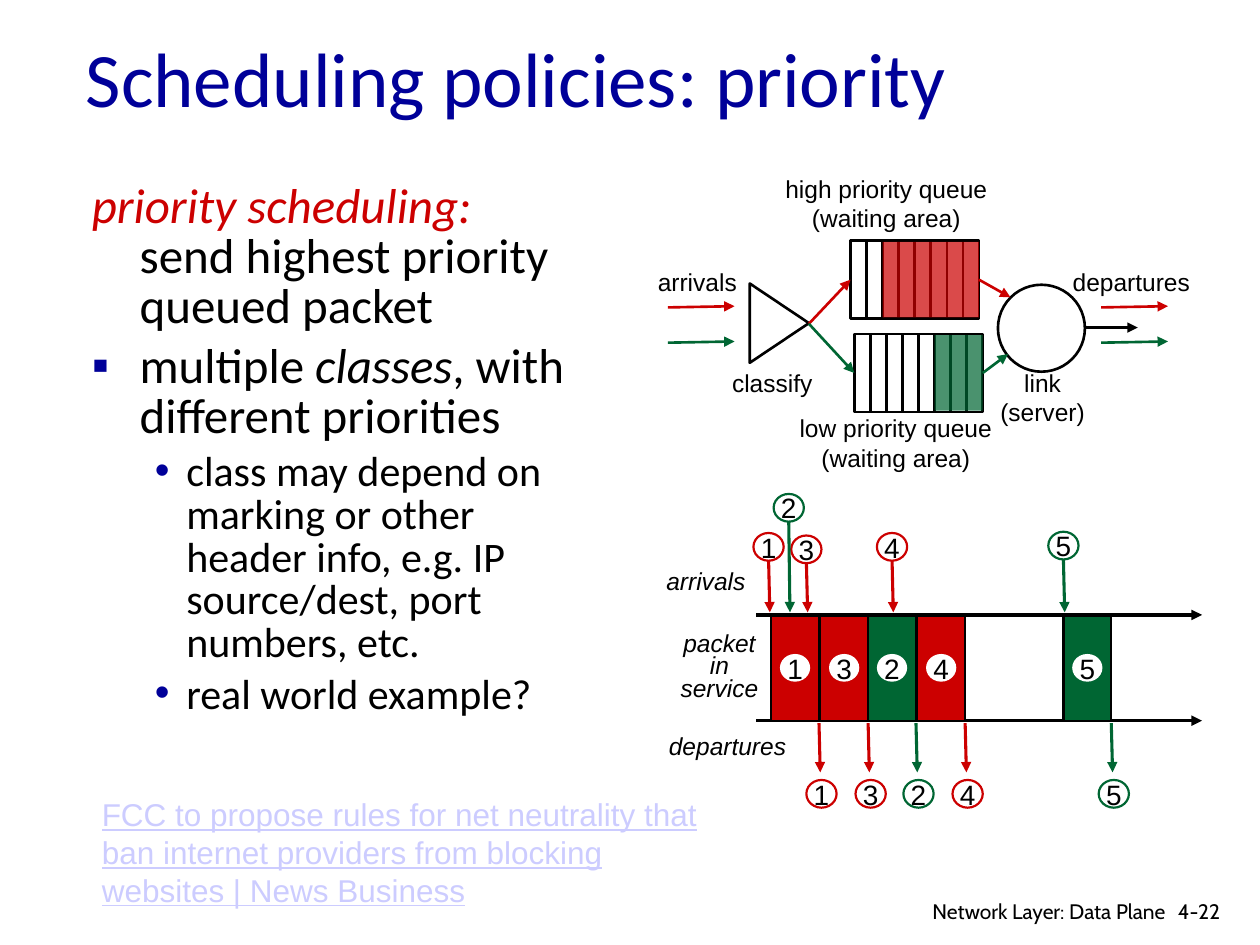
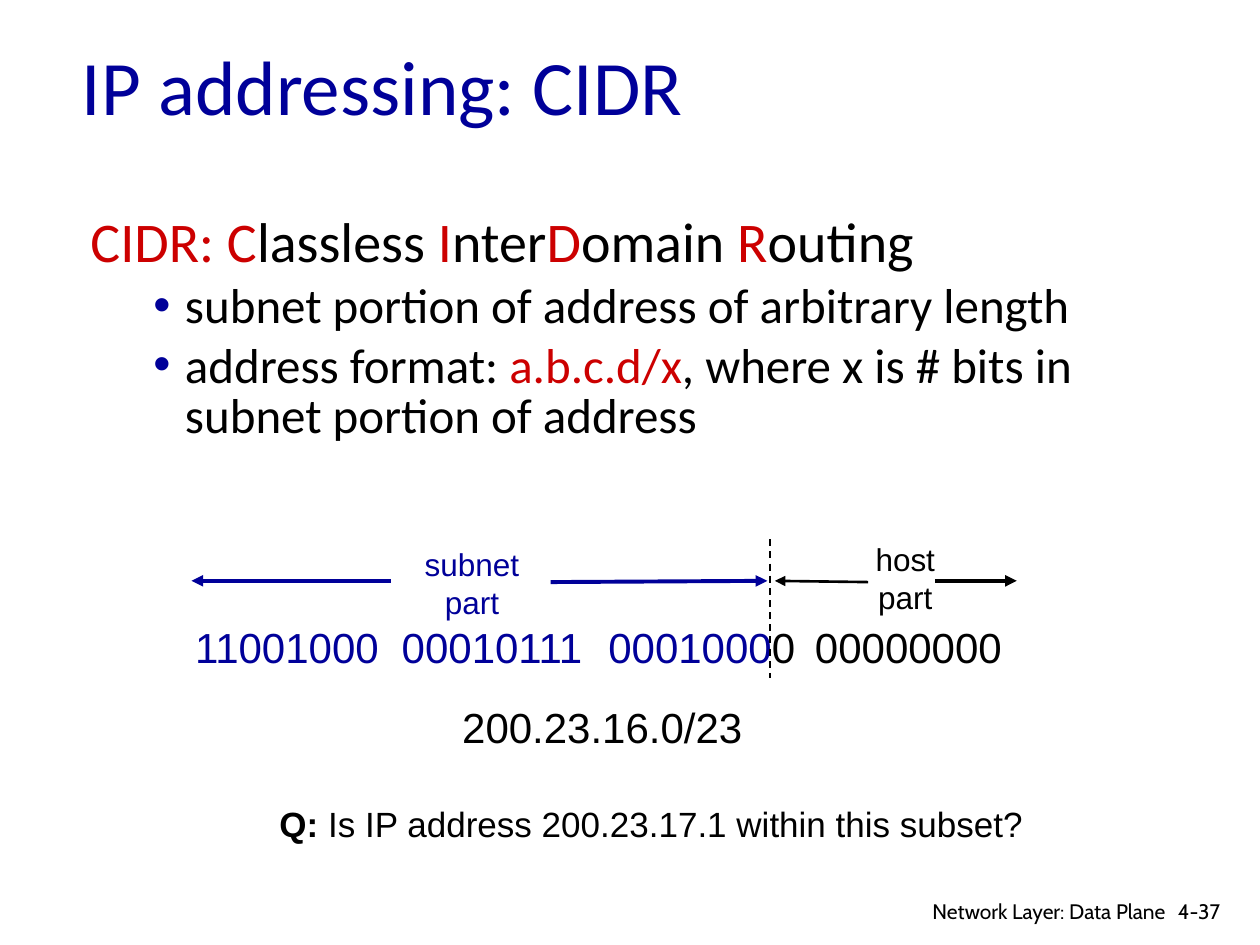
"""Build two lecture slides on priority scheduling and CIDR addressing."""
from lxml import etree
from pptx import Presentation
from pptx.dml.color import RGBColor
from pptx.enum.dml import MSO_LINE
from pptx.enum.shapes import MSO_CONNECTOR, MSO_SHAPE
from pptx.enum.text import MSO_ANCHOR, PP_ALIGN
from pptx.oxml.ns import qn
from pptx.util import Inches, Pt

NAVY = RGBColor(0x00, 0x00, 0x99)
RED = RGBColor(0xCC, 0x00, 0x00)
GREEN = RGBColor(0x00, 0x66, 0x33)
BLACK = RGBColor(0x00, 0x00, 0x00)
WHITE = RGBColor(0xFF, 0xFF, 0xFF)
LINK = RGBColor(0xCC, 0xCC, 0xFF)
LABEL_FONT, BODY_FONT, FOOTER_FONT = "Arial", "Calibri", "Cabin"
CENTER, RIGHT = PP_ALIGN.CENTER, PP_ALIGN.RIGHT


class Deck:
    """Hold the shared style and the slide being drawn."""

    def __init__(self):
        self.prs = Presentation()
        self.prs.slide_width, self.prs.slide_height = Inches(10), Inches(7.5)
        self.s = None

    def slide(self, title, at, number):
        """Start a slide with its title and footer."""
        self.s = self.prs.slides.add_slide(self.prs.slide_layouts[5])
        sp = self.s.shapes.title
        sp.left, sp.top, sp.width, sp.height = map(Inches, at)
        tf = sp.text_frame
        tf.text = title
        tf.word_wrap = True
        tf.vertical_anchor = MSO_ANCHOR.MIDDLE
        p = tf.paragraphs[0]
        p.alignment = PP_ALIGN.LEFT
        self.style(p.runs[0], 44, NAVY, BODY_FONT)
        self.text((9.25, 7.08, 0.61, 0.3), [number], 12, font=FOOTER_FONT, wrap=True)
        self.text((6.97, 7.08, 2.38, 0.26), ["Network Layer: Data Plane"], 12,
                  font=FOOTER_FONT, align=RIGHT, wrap=True)

    def style(self, r, size, color=BLACK, font=LABEL_FONT, **flags):
        """Format one run."""
        r.font.size, r.font.name = Pt(size), font
        r.font.color.rgb = color
        for name, value in flags.items():
            setattr(r.font, name, value)

    def runs(self, p, parts, size, color=BLACK, font=LABEL_FONT, **flags):
        """Fill a paragraph from a string or from (text, style) parts."""
        if isinstance(parts, str):
            parts = [(parts, {})]
        for text, extra in parts:
            r = p.add_run()
            r.text = text
            self.style(r, size, **{"color": color, "font": font, **flags, **extra})

    def text(self, at, lines, size, color=BLACK, font=LABEL_FONT, align=None,
             wrap=False, **flags):
        """Add a text box with one paragraph for each line."""
        tf = self.s.shapes.add_textbox(*map(Inches, at)).text_frame
        tf.word_wrap = wrap
        for i, line in enumerate(lines):
            p = tf.add_paragraph() if i else tf.paragraphs[0]
            p.alignment = align
            self.runs(p, line, size, color, font, **flags)
        return tf

    def body(self, at, items):
        """Add the main text from (bullet, size, parts) items."""
        tf = self.s.shapes.add_textbox(*map(Inches, at)).text_frame
        tf.word_wrap = True
        for i, (bullet, size, parts) in enumerate(items):
            p = tf.add_paragraph() if i else tf.paragraphs[0]
            sub = bullet == "•"
            pPr = p._p.get_or_add_pPr()
            pPr.set("marL", str(Inches(0.75 if sub else 0.38)))
            pPr.set("indent", str(-Inches(0.25 if sub else 0.38)))
            if bullet:
                clr = etree.SubElement(pPr, qn("a:buClr"))
                etree.SubElement(clr, qn("a:srgbClr"), val=str(NAVY))
                etree.SubElement(pPr, qn("a:buFont"), typeface=LABEL_FONT)
                etree.SubElement(pPr, qn("a:buChar"), char=bullet)
            p.level = int(sub)
            p.line_spacing = 0.85
            p.space_before = Pt(0.2 * size if i else 0)
            self.runs(p, parts, size, font=BODY_FONT)

    def shape(self, kind, at, fill=None, line=None, width=1.5, alpha=None):
        """Add a preset shape."""
        sp = self.s.shapes.add_shape(kind, *map(Inches, at))
        sp.shadow.inherit = False
        if fill is None:
            sp.fill.background()
        else:
            sp.fill.solid()
            sp.fill.fore_color.rgb = fill
        if alpha:
            clr = sp._element.spPr.find(qn("a:solidFill"))[0]
            etree.SubElement(clr, qn("a:alpha"), val=str(alpha * 1000))
        if line is None:
            sp.line.fill.background()
        else:
            sp.line.color.rgb, sp.line.width = line, Pt(width)
        return sp

    def badge(self, left, top, number, line=None):
        """Add a numbered white circle."""
        sp = self.shape(MSO_SHAPE.OVAL, (left, top, 0.24, 0.22), WHITE, line, 1.25)
        tf = sp.text_frame
        tf.margin_left = tf.margin_right = tf.margin_top = tf.margin_bottom = 0
        tf.word_wrap = False
        tf.vertical_anchor = MSO_ANCHOR.MIDDLE
        p = tf.paragraphs[0]
        p.alignment = CENTER
        self.runs(p, number, 16)

    def line(self, start, end, color=BLACK, width=1.5, arrow=True):
        """Add a straight line, with an arrowhead at its end by default."""
        cxn = self.s.shapes.add_connector(MSO_CONNECTOR.STRAIGHT, *map(Inches, start + end))
        cxn.line.color.rgb, cxn.line.width = color, Pt(width)
        if arrow:
            etree.SubElement(cxn.line._get_or_add_ln(), qn("a:tailEnd"), type="triangle")
        etree.SubElement(cxn._element.spPr, qn("a:effectLst"))
        return cxn


def queue(deck, left, top, waiting, color):
    """Draw an eight-cell queue whose last cells hold waiting packets."""
    width, height, cells = 1.02, 0.62, 8
    cell = width / cells
    frame = deck.shape(MSO_SHAPE.RECTANGLE, (left, top, width, height), line=BLACK)
    for i in range(1, cells):
        x = left + i * cell
        deck.line((x, top + 0.01), (x, top + height), arrow=False)
    deck.shape(MSO_SHAPE.RECTANGLE,
               (left + (cells - waiting) * cell, top + 0.01, waiting * cell, 0.6),
               color, alpha=71)
    return frame


def queue_diagram(deck):
    """Draw the classifier, both queues and the link."""
    low = queue(deck, 6.78, 2.65, 3, GREEN)
    high = queue(deck, 6.75, 1.91, 6, RED)
    deck.shape(MSO_SHAPE.ISOSCELES_TRIANGLE, (5.87, 2.33, 0.63, 0.47), line=BLACK).rotation = 90
    deck.shape(MSO_SHAPE.OVAL, (7.92, 2.26, 0.69, 0.69), line=BLACK)
    for frame, color, left, y, link in ((high, RED, 6.75, 2.22, (8.02, 2.36)),
                                        (low, GREEN, 6.78, 2.96, (8, 2.81))):
        deck.line((6.42, 2.57), (left, y), color).end_connect(frame, 1)
        deck.line((left + 1.02, y), link, color).begin_connect(frame, 3)
    for x in (5.3, 8.74):
        for y, color in ((2.44, RED), (2.72, GREEN)):
            deck.line((x, y), (x + 0.53, y - 0.01), color)
    deck.line((8.6, 2.6), (9.03, 2.6))
    for at, lines in (
        ((6.1, 1.33, 1.87, 0.57), ["high priority queue", "(waiting area)"]),
        ((6.24, 3.23, 1.74, 0.57), ["low priority queue", "(waiting area)"]),
        ((5.12, 2.07, 0.83, 0.34), ["arrivals"]),
        ((5.7, 2.87, 0.86, 0.34), ["classify"]),
        ((8.41, 2.07, 1.14, 0.34), ["departures"]),
        ((7.81, 2.87, 0.93, 0.57), ["link", "(server)"]),
    ):
        deck.text(at, lines, 14, align=CENTER)


def timeline(deck):
    """Draw arrivals, service slots and departures of five packets."""
    for y in (4.88, 5.72):
        deck.line((6, y), (9.54, y), width=2)
    packets = (
        ("1", RED, 6.12, 5.98, 4.23),
        ("3", RED, 6.51, 6.28, 4.25),
        ("2", GREEN, 6.89, 6.14, 3.92),
        ("4", RED, 7.28, 6.96, 4.23),
        ("5", GREEN, 8.44, 8.32, 4.22),
    )
    for number, color, slot, x, y in packets:
        deck.shape(MSO_SHAPE.RECTANGLE, (slot, 4.89, 0.38, 0.83), color, BLACK, 1.25)
        deck.badge(slot + 0.07, 5.19, number)
        deck.line((x + 0.12, y + 0.22), (x + 0.13, 4.86), color, 1.75)
        deck.badge(x, y, number, color)
        done = slot + 0.38
        deck.line((done, 5.74), (done + 0.01, 6.13), color, 1.75)
        deck.badge(done - 0.1, 6.19, number, color)
    deck.text((5.19, 4.44, 0.88, 0.34), ["arrivals"], 14, italic=True)
    deck.text((5.21, 5.75, 1.19, 0.34), ["departures"], 14, italic=True)
    tf = deck.text((5.24, 4.99, 0.94, 0.65), ["packet in service"], 14,
                   align=CENTER, wrap=True, italic=True)
    tf.paragraphs[0].line_spacing = Pt(12.8)


def priority_slide(deck):
    """Build the priority scheduling slide."""
    deck.slide("Scheduling policies: priority", (0.58, -0.02, 8.5, 1.25), "4-22")
    deck.body((0.63, 1.41, 4.05, 5.58), [
        (None, 28, [("priority scheduling: ", {"color": RED, "italic": True}),
                    ("send highest priority queued packet", {})]),
        ("▪", 28, [("multiple ", {}), ("classes", {"italic": True}),
                   (", with different priorities", {})]),
        ("•", 24, "class may depend on marking or other header info, "
                  "e.g. IP source/dest, port numbers, etc."),
        ("•", 24, "real world example?"),
    ])
    queue_diagram(deck)
    timeline(deck)
    deck.text((0.71, 6.26, 5, 1.01),
              ["FCC to propose rules for net neutrality that ban internet providers "
               "from blocking websites | News Business"],
              18, LINK, wrap=True, underline=True)


def cidr_slide(deck):
    """Build the CIDR addressing slide."""
    deck.slide("IP addressing: CIDR", (0.55, 0.21, 8.5, 0.93), "4-37")
    red = {"color": RED}
    deck.body((0.62, 1.67, 8.87, 3.47), [
        (None, 32, [("CIDR: C", red), ("lassless ", {}), ("I", red), ("nter", {}),
                    ("D", red), ("omain ", {}), ("R", red), ("outing", {})]),
        ("•", 28, "subnet portion of address of arbitrary length"),
        ("•", 28, [("address format: ", {}), ("a.b.c.d/x", red),
                   (", where x is # bits in subnet portion of address", {})]),
    ])
    tf = deck.text((1.45, 4.88, 6.7, 0.5),
                   [[("11001000\t00010111\t0001000", {"color": NAVY}), ("0\t00000000", {})]], 24)
    tabs = etree.SubElement(tf.paragraphs[0]._p.get_or_add_pPr(), qn("a:tabLst"))
    for i in range(1, 4):
        etree.SubElement(tabs, qn("a:tab"), pos=str(Inches(1.64 * i)), algn="l")
    deck.text((3.27, 4.28, 0.95, 0.7), ["subnet", "part"], 18, NAVY, align=CENTER)
    deck.text((6.85, 4.24, 0.67, 0.7), ["host", "part"], 18, align=CENTER)
    deck.line((4.37, 4.62), (6.09, 4.61), NAVY, 2.25)
    deck.line((3.1, 4.61), (1.52, 4.61), NAVY, 2.25)
    deck.line((7.42, 4.61), (8.07, 4.61), width=2.25)
    deck.line((6.89, 4.62), (6.15, 4.61))
    split = deck.line((6.11, 4.28), (6.11, 5.38), width=1, arrow=False)
    split.line.dash_style = MSO_LINE.DASH
    deck.text((3.57, 5.52, 2.43, 0.5), ["200.23.16.0/23"], 24)
    deck.text((2.12, 6.32, 6.14, 0.44),
              [[("Q: ", {"bold": True}),
                ("Is IP address 200.23.17.1 within this subset?", {})]], 20)


def main():
    """Build and save the slides."""
    deck = Deck()
    priority_slide(deck)
    cidr_slide(deck)
    deck.prs.save("out.pptx")


if __name__ == "__main__":
    main()
